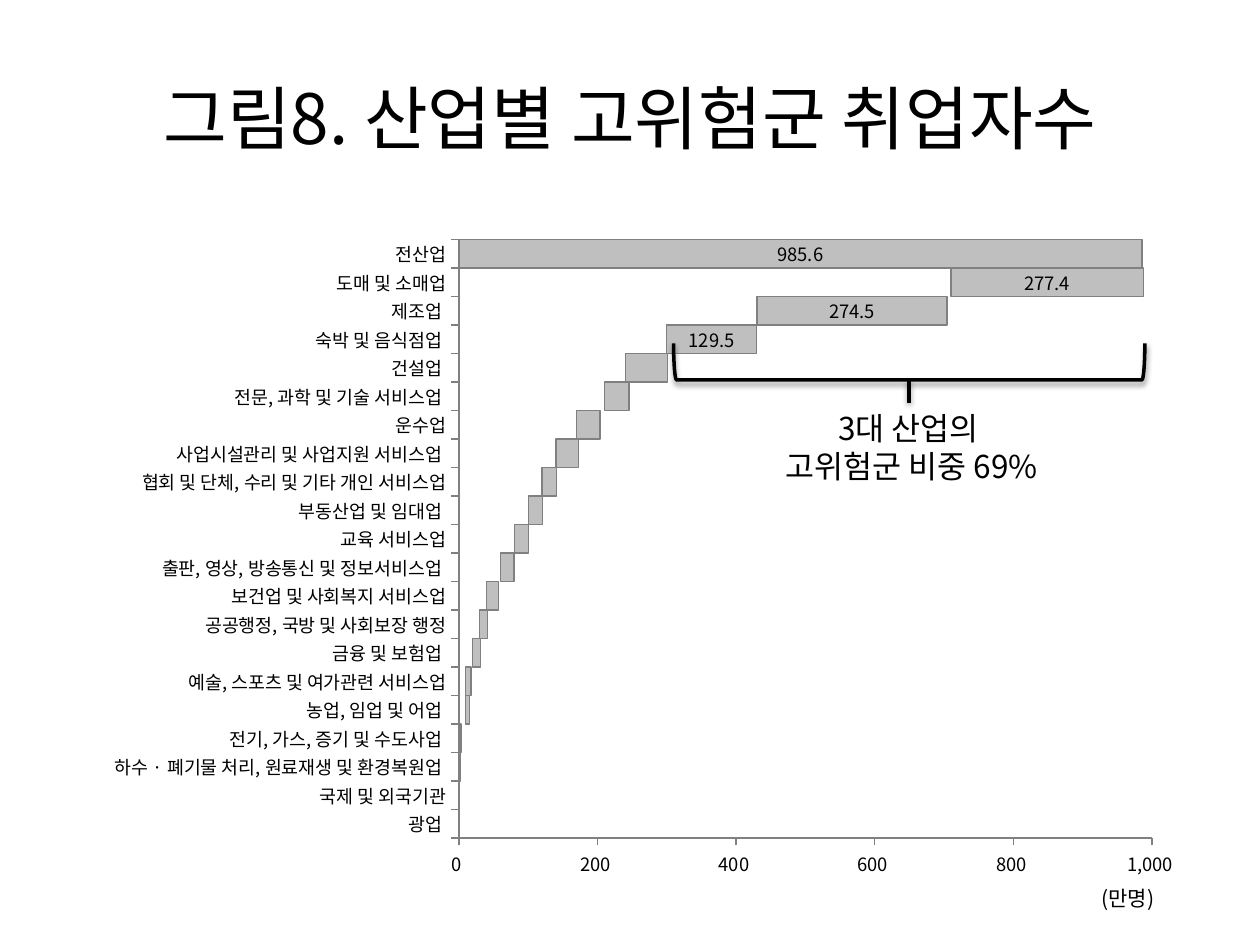
"""Build a slide with a waterfall bar chart of high-risk workers by industry."""
from itertools import accumulate

from lxml import etree
from pptx import Presentation
from pptx import util as u
from pptx.chart.data import CategoryChartData
from pptx.dml.color import RGBColor
from pptx.enum import chart as ch, shapes, text
from pptx.oxml import parse_xml
from pptx.oxml.ns import nsdecls, qn

FONT = "Noto Sans CJK KR"
BLACK = RGBColor(0x00, 0x00, 0x00)
GREY = RGBColor(0x80, 0x80, 0x80)
SILVER = RGBColor(0xBF, 0xBF, 0xBF)

TITLE = "그림8. 산업별 고위험군 취업자수"
NOTE = "3대 산업의 \n고위험군 비중 69%"
UNIT = "(만명)"
INDUSTRIES = [
    ("광업 ", 0.4),
    ("국제 및 외국기관", 0.5),
    ("하수 · 폐기물 처리, 원료재생 및 환경복원업 ", 2.7),
    ("전기, 가스, 증기 및 수도사업 ", 3.2),
    ("농업, 임업 및 어업 ", 5.3),
    ("예술, 스포츠 및 여가관련 서비스업", 7.4),
    ("금융 및 보험업 ", 10.8),
    ("공공행정, 국방 및 사회보장 행정", 11.4),
    ("보건업 및 사회복지 서비스업", 16.9),
    ("출판, 영상, 방송통신 및 정보서비스업 ", 19.4),
    ("교육 서비스업", 20.6),
    ("부동산업 및 임대업 ", 20.7),
    ("협회 및 단체, 수리 및 기타 개인 서비스업", 21.3),
    ("사업시설관리 및 사업지원 서비스업 ", 32.7),
    ("운수업", 33.6),
    ("전문, 과학 및 기술 서비스업 ", 35.6),
    ("건설업 ", 61.5),
    ("숙박 및 음식점업 ", 129.5),
    ("제조업 ", 274.5),
    ("도매 및 소매업", 277.4),
]
TOTAL = ("전산업", 985.6)
LABELLED = 4
PLOT = {"x": 0.349, "y": 0.028, "w": 0.611, "h": 0.87}


def set_east_asian(r_pr):
    etree.SubElement(r_pr, qn("a:ea")).set("typeface", FONT)


def write(tf, content, size, align):
    tf.text = content
    tf.word_wrap = True
    for p in tf.paragraphs:
        p.alignment = align
        for r in p.runs:
            r.font.size, r.font.name = u.Pt(size), FONT
            r.font.color.rgb = BLACK
            set_east_asian(r.font._element)


def add_text(s, content, box, **fmt):
    sp = s.shapes.add_textbox(*map(u.Cm, box))
    write(sp.text_frame, content, **fmt)


def style_mark(sp):
    sp.line.color.rgb = BLACK
    sp.line.width = u.Pt(2)
    sp._element.spPr.append(parse_xml(
        f'<a:effectLst {nsdecls("a")}><a:outerShdw blurRad="40000" dist="20000" '
        'dir="5400000" rotWithShape="0"><a:srgbClr val="000000">'
        '<a:alpha val="38000"/></a:srgbClr></a:outerShdw></a:effectLst>'))


def style_axis(axis):
    axis.has_major_gridlines = False
    axis.major_tick_mark = ch.XL_TICK_MARK.OUTSIDE
    axis.minor_tick_mark = ch.XL_TICK_MARK.NONE
    axis.format.line.color.rgb = GREY
    axis.format.line.width = u.Pt(0.75)


def set_plot_layout(chart):
    area = chart.element.find(".//" + qn("c:plotArea"))
    for old in area.findall(qn("c:layout")):
        area.remove(old)
    modes = '<c:layoutTarget val="inner"/><c:xMode val="edge"/><c:yMode val="edge"/>'
    sizes = "".join(f'<c:{k} val="{v}"/>' for k, v in PLOT.items())
    area.insert(0, parse_xml(
        f'<c:layout {nsdecls("c")}><c:manualLayout>{modes}{sizes}'
        '</c:manualLayout></c:layout>'))


def add_waterfall(s, box):
    names, values = zip(*INDUSTRIES, TOTAL)
    steps = values[:-1]
    offsets = [int(round(x, -1)) for x in accumulate(steps[:-1], initial=0)] + [0]
    data = CategoryChartData(number_format="0.0")
    data.categories = names
    data.add_series("Series 1", offsets)
    data.add_series("Series 2", values)
    chart = s.shapes.add_chart(
        ch.XL_CHART_TYPE.BAR_STACKED, *map(u.Cm, box), data).chart
    chart.has_legend = chart.has_title = False
    chart.font.size, chart.font.name = u.Pt(10.5), FONT
    chart.font.color.rgb = BLACK
    for r_pr in chart.element.iter(qn("a:defRPr")):
        set_east_asian(r_pr)
    set_plot_layout(chart)

    plot = chart.plots[0]
    plot.gap_width, plot.overlap, plot.vary_by_categories = 0, 100, False
    base, bars = plot.series
    base.format.fill.background()
    base.format.line.fill.background()
    bars.format.fill.solid()
    bars.format.fill.fore_color.rgb = SILVER
    bars.format.line.color.rgb = GREY
    bars.format.line.width = u.Pt(0.75)
    bars.data_labels.show_value = False
    for i in range(len(values) - LABELLED, len(values)):
        bars.points[i].data_label.position = ch.XL_LABEL_POSITION.CENTER

    style_axis(chart.category_axis)
    axis = chart.value_axis
    style_axis(axis)
    axis.minimum_scale, axis.maximum_scale, axis.major_unit = 0, 1000, 200
    axis.tick_labels.number_format = r"#,##0_);[Red]\(#,##0\)"
    axis.tick_labels.number_format_is_linked = False


def add_bracket(s, left, top, width, height, stem):
    group = s.shapes.add_group_shape()
    mid = left + width / 2
    sp = group.shapes.add_shape(
        shapes.MSO_SHAPE.LEFT_BRACKET, u.Cm(mid - height / 2),
        u.Cm(top + height / 2 - width / 2), u.Cm(height), u.Cm(width))
    sp.rotation = 270
    sp.fill.background()
    style_mark(sp)
    bottom = top + height
    style_mark(group.shapes.add_connector(
        shapes.MSO_CONNECTOR.STRAIGHT,
        *map(u.Cm, (mid, bottom, mid, bottom + stem))))


def main():
    prs = Presentation()
    prs.slide_width, prs.slide_height = u.Cm(25.4), u.Cm(19.05)
    s = prs.slides.add_slide(prs.slide_layouts[5])
    title = s.shapes.title
    title.left, title.top, title.width, title.height = map(
        u.Cm, (1.27, 0.76, 22.86, 3.18))
    title.text_frame.vertical_anchor = text.MSO_ANCHOR.MIDDLE
    write(title.text_frame, TITLE, size=39.6, align=text.PP_ALIGN.CENTER)
    add_waterfall(s, (1.27, 4.44, 22.87, 13.87))
    add_bracket(s, left=13.58, top=6.92, width=9.5, height=0.74, stem=0.46)
    add_text(s, NOTE, (14.27, 8.13, 8.23, 1.8),
             size=18, align=text.PP_ALIGN.CENTER)
    add_text(s, UNIT, (19.71, 17.73, 3.81, 0.76),
             size=12, align=text.PP_ALIGN.RIGHT)
    prs.save("out.pptx")


if __name__ == "__main__":
    main()
